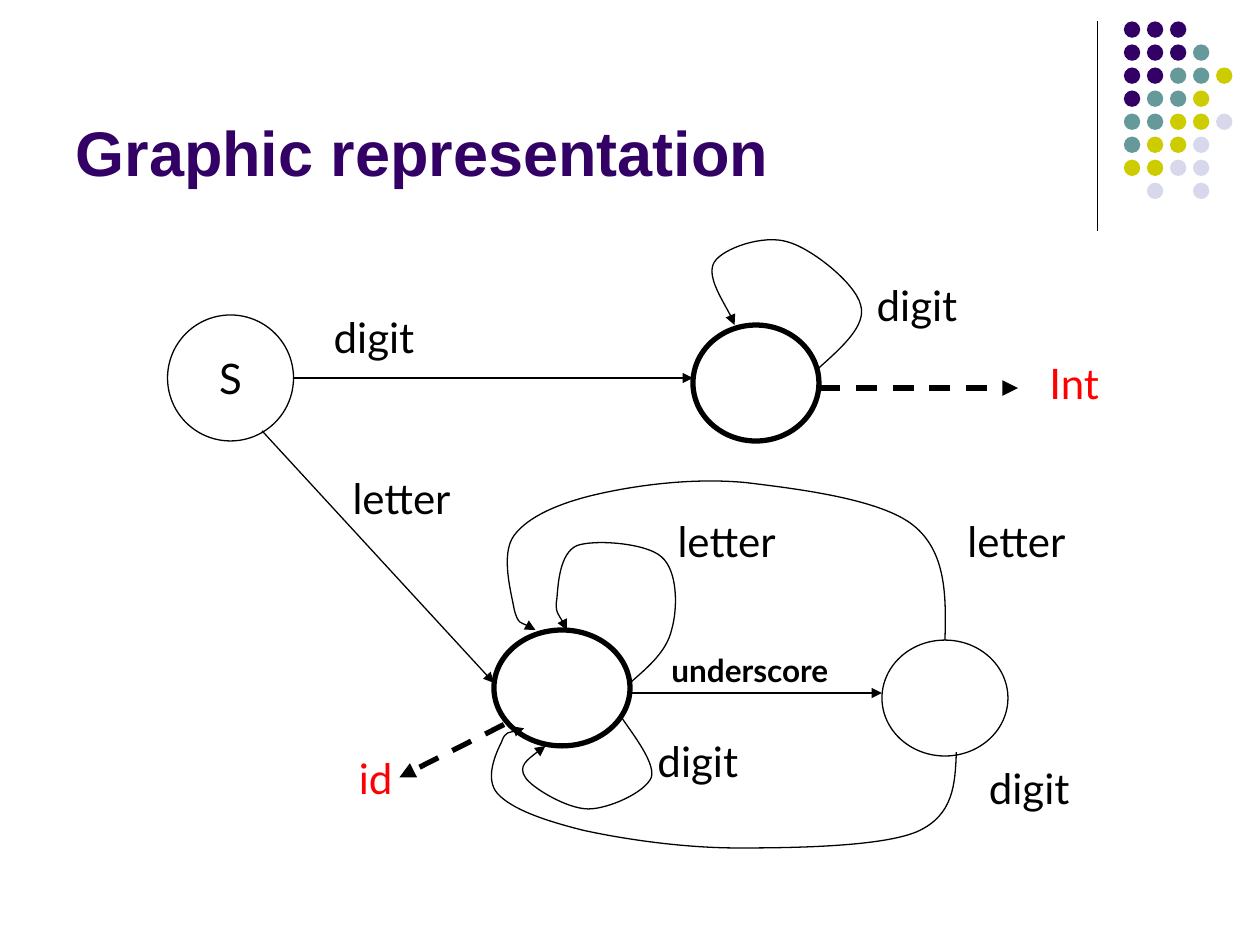
from lxml.etree import SubElement
from pptx import Presentation
from pptx.dml.color import RGBColor
from pptx.enum.dml import MSO_LINE
from pptx.enum.shapes import MSO_CONNECTOR, MSO_SHAPE
from pptx.enum.text import MSO_ANCHOR, MSO_AUTO_SIZE, PP_ALIGN
from pptx.oxml.ns import qn
from pptx.util import Inches, Pt

BLACK = RGBColor(0x00, 0x00, 0x00)
WHITE = RGBColor(0xFF, 0xFF, 0xFF)
RED = RGBColor(0xFF, 0x00, 0x00)
PURPLE = RGBColor(0x33, 0x00, 0x66)
TEAL = RGBColor(0x66, 0x99, 0x99)
LIME = RGBColor(0xCC, 0xCC, 0x00)
PALE = RGBColor(0xD8, 0xD8, 0xEC)

DOTS = ["PPP", "PPPT", "PPTTL", "PTTL", "TTLLA", "TLLA", "LLAA", " A A"]
HUES = {"P": PURPLE, "T": TEAL, "L": LIME, "A": PALE}
THIN, THICK = 0.75, 3

# left, top, width, height, outline, name
STATES = [
    (1.33, 2.5, 1, 1, THIN, "S"),
    (5.5, 2.58, 1, 0.92, THICK, ""),
    (3.92, 5, 1.08, 0.92, THICK, ""),
    (7, 5.08, 1, 0.92, THIN, ""),
]

# start, end, weight, arrowhead
LINES = [
    ((8.71, 0.17), (8.71, 1.83), THIN, False),
    ((2.33, 3), (5.5, 3), THIN, True),
    ((2.08, 3.42), (3.92, 5.42), THIN, True),
    ((5, 5.5), (7, 5.5), THIN, True),
    ((6.5, 3.08), (8.08, 3.08), THICK, True),
    ((4, 5.75), (3.17, 6.17), THICK, True),
]

# start point, then two control points and an end point for each bend
CURVES = [
    [(6.5, 2.92),
     (6.69, 2.75), (6.88, 2.58), (6.83, 2.42),
     (6.79, 2.25), (6.44, 1.97), (6.25, 1.92),
     (6.06, 1.86), (5.74, 1.97), (5.67, 2.08),
     (5.6, 2.19), (5.81, 2.5), (5.83, 2.58)],
    [(5, 5.42),
     (5.15, 5.29), (5.29, 5.17), (5.33, 5),
     (5.38, 4.83), (5.38, 4.53), (5.25, 4.42),
     (5.13, 4.31), (4.72, 4.28), (4.58, 4.33),
     (4.44, 4.39), (4.43, 4.64), (4.42, 4.75),
     (4.4, 4.86), (4.49, 4.96), (4.5, 5)],
    [(4.92, 5.67),
     (4.96, 5.75), (5.21, 6.04), (5.17, 6.17),
     (5.12, 6.29), (4.83, 6.42), (4.67, 6.42),
     (4.5, 6.42), (4.22, 6.25), (4.17, 6.17),
     (4.11, 6.08), (4.22, 6), (4.33, 5.92)],
    [(7.5, 5.08),
     (7.51, 4.73), (7.51, 4.38), (7.25, 4.17),
     (6.99, 3.96), (6.33, 3.88), (5.92, 3.83),
     (5.5, 3.79), (5.06, 3.85), (4.75, 3.92),
     (4.44, 3.99), (4.19, 4.1), (4.08, 4.25),
     (3.97, 4.4), (4.06, 4.71), (4.08, 4.83),
     (4.11, 4.96), (4.22, 4.97), (4.25, 5)],
    [(7.59, 5.97),
     (7.58, 6.22), (7.57, 6.47), (7.28, 6.6),
     (7, 6.72), (6.3, 6.73), (5.86, 6.73),
     (5.42, 6.73), (4.95, 6.66), (4.63, 6.59),
     (4.31, 6.51), (4.06, 6.42), (3.95, 6.3),
     (3.84, 6.18), (3.94, 5.97), (3.98, 5.89),
     (4.01, 5.8), (4.13, 5.8), (4.16, 5.78)],
]

# text, left, top, width, colour
LABELS = [
    ("digit", 2.55, 2.42, 0.9, BLACK),
    ("digit", 6.86, 2.17, 0.9, BLACK),
    ("digit", 5.12, 5.79, 0.9, BLACK),
    ("digit", 7.75, 6, 0.9, BLACK),
    ("letter", 2.7, 3.7, 1.04, BLACK),
    ("letter", 5.28, 4.04, 1.04, BLACK),
    ("letter", 7.58, 4.04, 1.04, BLACK),
    ("Int", 8.23, 2.79, 0.64, RED),
    ("id", 2.75, 5.92, 0.5, RED),
]


class Canvas:
    def __init__(self, slide, font="Lato"):
        self.slide, self.shapes, self.font = slide, slide.shapes, font

    def put(self, para, text, size=24, color=BLACK, bold=False, font=None):
        """Add one formatted run to a paragraph."""
        run = para.add_run()
        run.text = text
        run.font.name = font or self.font
        run.font.size = Pt(size)
        run.font.bold = bold
        run.font.color.rgb = color

    def title(self, text):
        box = self.shapes.title
        box.left, box.top = Inches(0.5), Inches(0.13)
        box.width, box.height = Inches(8.25), Inches(1.42)
        box.text_frame.vertical_anchor = MSO_ANCHOR.BOTTOM
        para = box.text_frame.paragraphs[0]
        para.alignment = PP_ALIGN.LEFT
        self.put(para, text, 36, PURPLE, True, "Arial")

    def dots(self, left, top, size, step):
        group = self.shapes.add_group_shape()
        for row, keys in enumerate(DOTS):
            for col, key in enumerate(keys):
                if key in HUES:
                    dot = group.shapes.add_shape(
                        MSO_SHAPE.OVAL, Inches(left + col * step),
                        Inches(top + row * step), Inches(size), Inches(size))
                    dot.shadow.inherit = False
                    dot.fill.solid()
                    dot.fill.fore_color.rgb = HUES[key]
                    dot.line.fill.background()

    def stroke(self, shape, weight, arrow=False):
        shape.line.color.rgb = BLACK
        shape.line.width = Pt(weight)
        if arrow:
            if weight == THICK:
                shape.line.dash_style = MSO_LINE.DASH
            outline = shape._element.spPr.find(qn("a:ln"))
            SubElement(outline, qn("a:tailEnd"), type="triangle")

    def state(self, left, top, width, height, weight, name):
        oval = self.shapes.add_shape(
            MSO_SHAPE.OVAL, Inches(left), Inches(top), Inches(width), Inches(height))
        oval.shadow.inherit = False
        oval.fill.solid()
        oval.fill.fore_color.rgb = WHITE
        self.stroke(oval, weight)
        if name:
            frame = oval.text_frame
            frame.word_wrap = False
            frame.vertical_anchor = MSO_ANCHOR.MIDDLE
            frame.paragraphs[0].alignment = PP_ALIGN.CENTER
            self.put(frame.paragraphs[0], name)

    def line(self, start, end, weight, arrow):
        link = self.shapes.add_connector(
            MSO_CONNECTOR.STRAIGHT, *map(Inches, start + end))
        self.stroke(link, weight, arrow)
        SubElement(link._element.spPr, qn("a:effectLst"))

    def curve(self, points):
        """Draw a freeform, turning each three line steps into one Bezier bend."""
        spots = [(Inches(x), Inches(y)) for x, y in points]
        pen = self.shapes.build_freeform(*spots[0])
        pen.add_line_segments(spots[1:], close=False)
        loop = pen.convert_to_shape()
        loop.shadow.inherit = False
        loop.fill.background()
        self.stroke(loop, THIN, True)
        steps = list(loop._element.iter(qn("a:lnTo")))
        for i in range(0, len(steps), 3):
            bend = SubElement(steps[i].getparent(), qn("a:cubicBezTo"))
            for step in steps[i:i + 3]:
                bend.append(step[0])
                step.getparent().remove(step)

    def label(self, text, left, top, width, color, height=0.5, size=24, bold=False):
        box = self.shapes.add_textbox(
            Inches(left), Inches(top), Inches(width), Inches(height))
        box.text_frame.word_wrap = False
        box.text_frame.auto_size = MSO_AUTO_SIZE.SHAPE_TO_FIT_TEXT
        self.put(box.text_frame.paragraphs[0], text, size, color, bold)


def main():
    deck = Presentation()
    deck.slide_width, deck.slide_height = Inches(10), Inches(7.5)
    page = Canvas(deck.slides.add_slide(deck.slide_layouts[5]))
    page.title("Graphic representation")
    page.dots(8.92, 0.17, 0.13, 1.28 / 7)
    for item in STATES:
        page.state(*item)
    for item in LINES:
        page.line(*item)
    for points in CURVES:
        page.curve(points)
    for item in LABELS:
        page.label(*item)
    page.label("underscore", 5.23, 5.12, 1.61, BLACK, 0.4, 18, True)
    deck.save("out.pptx")


if __name__ == "__main__":
    main()
